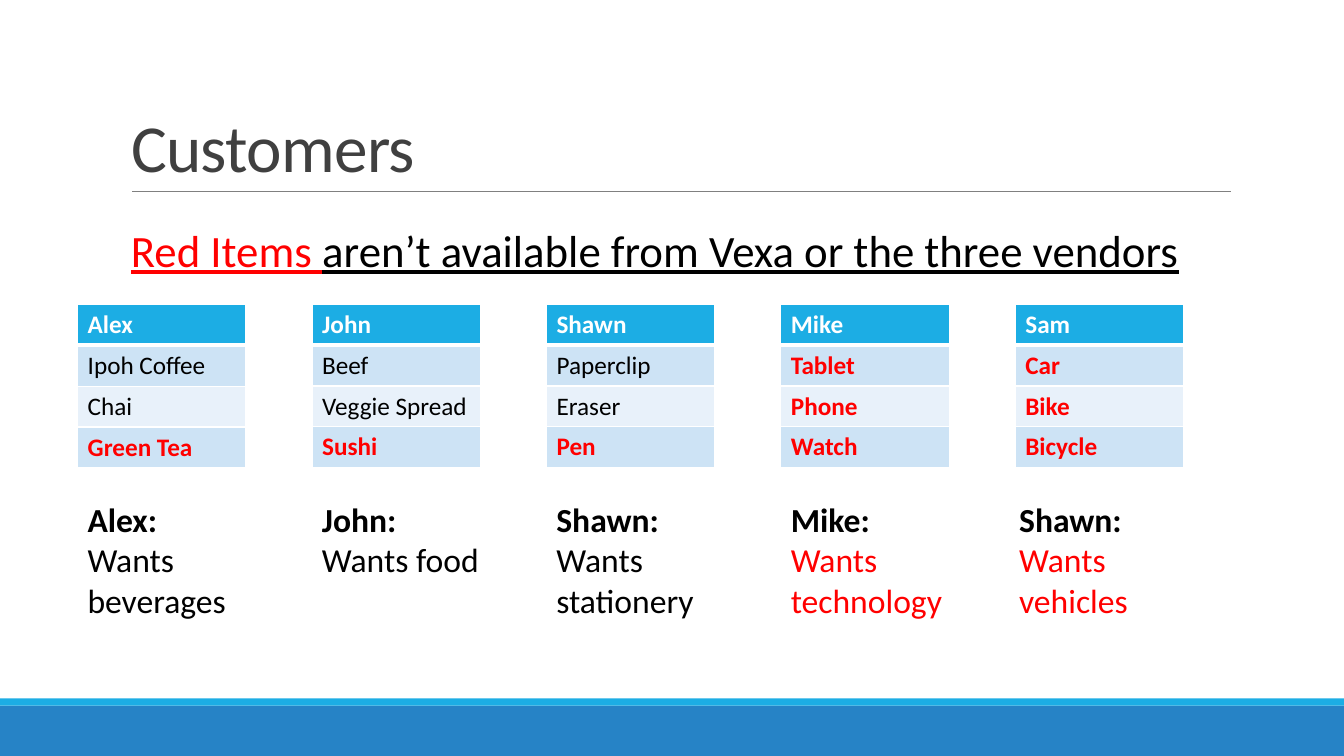
from lxml.etree import SubElement
from pptx import Presentation
from pptx.dml.color import RGBColor
from pptx.enum.shapes import MSO_CONNECTOR, MSO_SHAPE
from pptx.enum.text import MSO_ANCHOR
from pptx.oxml import parse_xml
from pptx.oxml.ns import nsdecls, qn
from pptx.util import Inches, Pt

BLUE, CYAN, RED, BLACK, WHITE = "2683C6", "1CADE4", "FF0000", "000000", "FFFFFF"
BANDS = ["CDE3F5", "E8F1FA"]

# Header, items, number of unavailable items, caption name, wish, caption offset
CUSTOMERS = [
    ("Alex", ["Ipoh Coffee", "Chai", "Green Tea"], 1, "Alex:", "Wants beverages", 0),
    ("John", ["Beef", "Veggie Spread", "Sushi"], 1, "John:", "Wants food", 0),
    ("Shawn", ["Paperclip", "Eraser", "Pen"], 1, "Shawn:", "Wants stationery", 0),
    ("Mike", ["Tablet", "Phone", "Watch"], 3, "Mike:", "Wants technology", 0),
    ("Sam", ["Car", "Bike", "Bicycle"], 3, "Shawn:", "Wants vehicles", -0.06),
]


def rgb(color):
    return RGBColor.from_string(color)


def style(r, size, color, bold=False, underline=False):
    r.font.name = "Calibri"
    r.font.size = Pt(size)
    r.font.bold = bold
    r.font.underline = underline
    r.font.color.rgb = rgb(color)


def add_bar(s, x, y, w, h, color):
    sp = s.shapes.add_shape(MSO_SHAPE.RECTANGLE, Inches(x), Inches(y), Inches(w), Inches(h))
    sp.shadow.inherit = False
    sp.fill.solid()
    sp.fill.fore_color.rgb = rgb(color)
    sp.line.fill.background()


def add_text_box(s, x, y, w, h, wrap=True):
    tf = s.shapes.add_textbox(Inches(x), Inches(y), Inches(w), Inches(h)).text_frame
    tf.word_wrap = wrap
    return tf


def add_footer(s, x, y, w, h):
    strip = 0.07
    add_bar(s, x, y + strip, w, h - strip, BLUE)
    add_bar(s, x, y, w, strip, CYAN)


def add_title(s, x, y, w, h):
    title = s.shapes.title
    title.left, title.top, title.width, title.height = map(Inches, (x, y, w, h))
    tf = title.text_frame
    tf.text = "Customers"
    tf.vertical_anchor = MSO_ANCHOR.BOTTOM
    p = tf.paragraphs[0]
    p.line_spacing = 0.85
    r = p.runs[0]
    style(r, 48, "404040")
    r.font._element.set("spc", "-50")
    # Move the paragraph to the left edge
    p._p.get_or_add_pPr().set("algn", "l")

    # Rule under the title
    left, bottom = x + 0.11, y + h
    rule = s.shapes.add_connector(MSO_CONNECTOR.STRAIGHT, Inches(left), Inches(bottom),
                                  Inches(left + 10.9), Inches(bottom))
    rule.line.color.rgb = rgb("808080")
    rule.line.width = Pt(0.5)
    SubElement(rule._element.spPr, qn("a:effectLst"))


def add_note(s, x, y, w, h):
    p = add_text_box(s, x, y, w, h, wrap=False).paragraphs[0]
    for text, color in [("Red Items ", RED),
                        ("aren’t available from Vexa or the three vendors", BLACK)]:
        r = p.add_run()
        r.text = text
        style(r, 32, color, underline=True)


def set_borders(cell, bottom):
    tcPr = cell._tc.get_or_add_tcPr()
    for i, (side, width) in enumerate([("L", 1), ("R", 1), ("T", 1), ("B", bottom)]):
        tcPr.insert(i, parse_xml(
            f'<a:ln{side} {nsdecls("a")} w="{Pt(width)}"><a:solidFill>'
            f'<a:srgbClr val="{WHITE}"/></a:solidFill></a:ln{side}>'))


def add_items_table(s, x, y, w, h, header, items, missing):
    rows = [header] + items
    table = s.shapes.add_table(len(rows), 1, Inches(x), Inches(y), Inches(w), Inches(h)).table
    for i, text in enumerate(rows):
        cell = table.cell(i, 0)
        cell.text = text
        cell.fill.solid()
        if i == 0:
            fill, color, bold = CYAN, WHITE, True
        else:
            bold = i > len(items) - missing
            fill, color = BANDS[(i - 1) % 2], RED if bold else BLACK
        cell.fill.fore_color.rgb = rgb(fill)
        style(cell.text_frame.paragraphs[0].runs[0], 18, color, bold)
        # The header and first row share the thick line
        set_borders(cell, bottom=3 if i == 0 else 1)
        if i == 1:
            cell._tc.tcPr.find(qn("a:lnT")).set("w", str(Pt(3)))


def add_caption(s, x, y, w, h, name, wish, color):
    tf = add_text_box(s, x, y, w, h)
    tf.text = name
    style(tf.paragraphs[0].runs[0], 24, BLACK, bold=True)
    p = tf.add_paragraph()
    p.text = wish
    style(p.runs[0], 24, color)


def add_customers(s, x, y, pitch):
    for i, (header, items, missing, name, wish, offset) in enumerate(CUSTOMERS):
        left = x + i * pitch
        add_items_table(s, left, y, 1.67, 1.62, header, items, missing)
        color = RED if missing == len(items) else BLACK
        add_caption(s, left + offset, y + 1.88, 1.94, 1.72, name, wish, color)


def main():
    prs = Presentation()
    prs.slide_width, prs.slide_height = Inches(13.33), Inches(7.5)
    s = prs.slides.add_slide(prs.slide_layouts[5])
    add_footer(s, 0, 6.93, 13.33, 0.57)
    add_title(s, 1.2, 0.31, 11, 1.59)
    add_customers(s, 0.77, 3.02, 2.325)
    add_note(s, 1.2, 2.16, 10.71, 0.64)
    prs.save("out.pptx")


if __name__ == "__main__":
    main()
